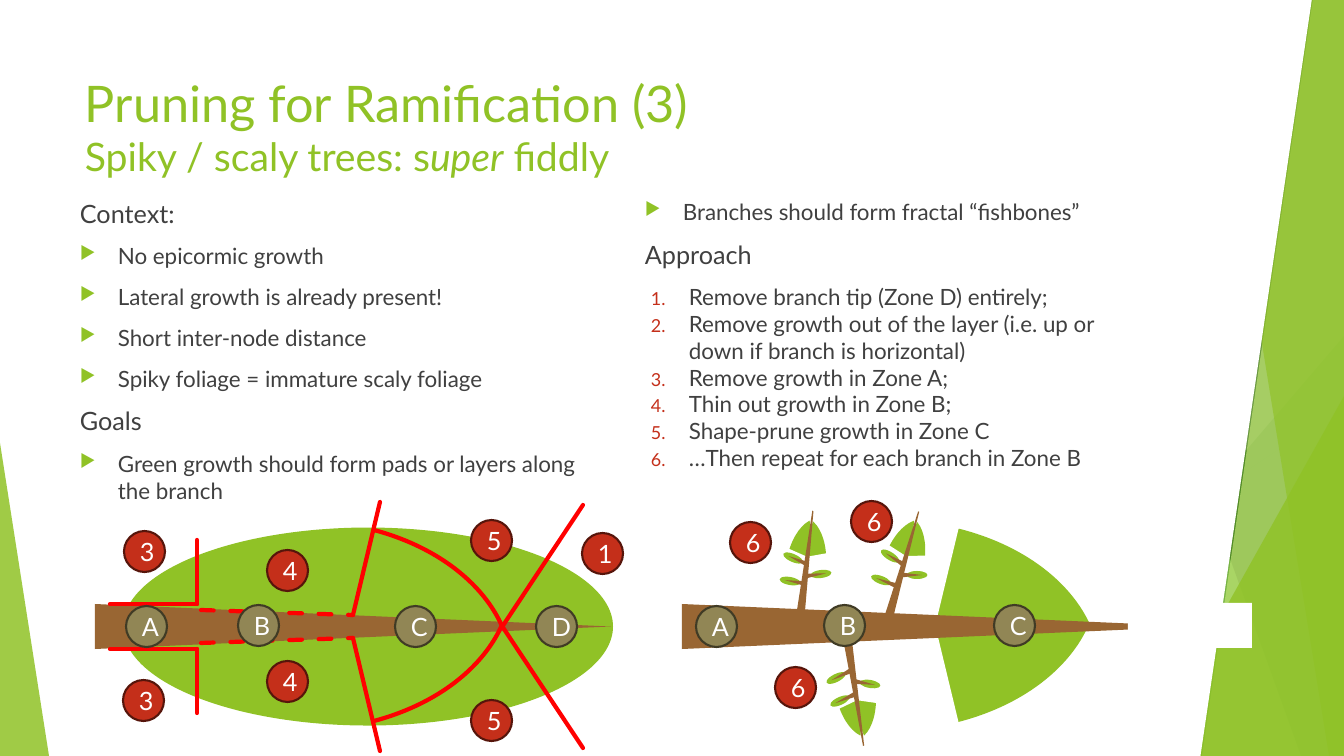
from math import cos, radians, sin

from lxml.etree import SubElement
from pptx import Presentation
from pptx.dml.color import RGBColor
from pptx.enum.dml import MSO_LINE
from pptx.enum.shapes import MSO_CONNECTOR, MSO_SHAPE
from pptx.enum.text import MSO_ANCHOR, PP_ALIGN
from pptx.oxml.ns import qn
from pptx.util import Pt

PX = 9071  # EMU in one px
OVAL, TRIANGLE, ARC = MSO_SHAPE.OVAL, MSO_SHAPE.ISOSCELES_TRIANGLE, MSO_SHAPE.ARC
PIE, WEDGE, BLOCK = MSO_SHAPE.PIE, MSO_SHAPE.RIGHT_TRIANGLE, MSO_SHAPE.RECTANGLE
PARALLELOGRAM = MSO_SHAPE.PARALLELOGRAM
STRAIGHT, DASH = MSO_CONNECTOR.STRAIGHT, MSO_LINE.DASH
TOP, MIDDLE, CENTER = MSO_ANCHOR.TOP, MSO_ANCHOR.MIDDLE, PP_ALIGN.CENTER
SWEEP = (178.53, 208.13)
LEAF_SWEEP = (169.5, 200.22)

THEME = {
    "font": "Lato", "title": 36, "subtitle": 28, "head": 18, "item": 16, "marker": 18,
    "green": "90C226", "deep": "54A021", "dark": "3F7819", "pale": "C0E474",
    "white": "FFFFFF", "text": "404040", "grey": "D9D9D9", "mid grey": "BFBFBF",
    "wood": "996633", "cut": "FF0000",
    "red": "C42F1A", "red edge": "56150B", "olive": "918655", "olive edge": "403B25",
}

deck = Presentation()
deck.slide_width, deck.slide_height = 1344 * PX, 756 * PX
page = deck.slides.add_slide(deck.slide_layouts[6])
shapes = page.shapes


def paint(shape, fill, edge=None, opacity=100):
    """Give a shape a flat fill, an optional 1.5 pt edge and no shadow."""
    shape.shadow.inherit = False
    shape.fill.solid()
    shape.fill.fore_color.rgb = RGBColor.from_string(THEME[fill])
    if opacity < 100:
        color = shape._element.spPr.find(".//" + qn("a:srgbClr"))
        SubElement(color, qn("a:alpha"), val=str(opacity * 1000))
    if edge:
        shape.line.color.rgb = RGBColor.from_string(THEME[edge])
        shape.line.width = Pt(1.5)
    else:
        shape.line.fill.background()


def place(form, middle, size, fill, turn=0, flip="", adjust=()):
    """Add a preset shape about its middle, turned clockwise, flipped by H and V."""
    left, top = [round((mid - length / 2) * PX) for mid, length in zip(middle, size)]
    shape = shapes.add_shape(form, left, top, *[round(length * PX) for length in size])
    shape.rotation = turn
    for axis in flip:
        shape._element.spPr.find(qn("a:xfrm")).set("flip" + axis, "1")
    for index, value in enumerate(adjust):
        shape.adjustments[index] = value
    paint(shape, fill)
    return shape


# Background facets
strokes = []
for ends, color in (((1033, 0, 1167, 756), "mid grey"), ((1344, 406, 818, 756), "grey")):
    ray = shapes.add_connector(STRAIGHT, *[v * PX for v in ends])
    strokes.append((ray, color, 0.75, None))

# quadrilaterals as top left, top right, bottom right, bottom left;
# triangles as left, top, width, height, apex position
FACETS = [
    ((1238, 1344, 1344, 1012), "green", 30),
    ((1058, 1344, 1344, 1192), "green", 20),
    ((985, 336, 359, 420, 1), "deep", 72),
    ((1029, 1344, 1344, 1301), "dark", 70),
    ((1313, 1344, 1344, 1202), "pale", 70),
    ((1206, 1344, 1344, 1329), "green", 65),
    ((1143, 396, 201, 360, 1), "green", 80),
    ((0, 443, 49, 313, 0), "green", 85),
]
for place_values, color, opacity in FACETS:
    if len(place_values) == 4:
        points = [(x * PX, y * PX) for x, y in zip(place_values, (-1, -1, 756, 756))]
        builder = shapes.build_freeform(*points[0])
        builder.add_line_segments(points[1:], close=True)
        facet = builder.convert_to_shape()
    else:
        facet = shapes.add_shape(TRIANGLE, *[v * PX for v in place_values[:4]])
        facet.adjustments[0] = place_values[4]
    paint(facet, color, opacity=opacity)
sheet = place(PARALLELOGRAM, (1032, 377), (558, 758), "white", adjust=(0.2,))
paint(sheet, "white", "white")

# Title and text columns
# size and colour, space before, left margin, bullet colour
STYLES = {
    "title": ("title", "green", 0, 0, None),
    "head": ("head", "text", 10, 0, None),
    "bullet": ("item", "text", 10, 38, "green"),
    "first step": ("item", "text", 10, 44, "red"),
    "step": ("item", "text", 0, 44, "red"),
}
TEXTS = [
    ((75, 67, 948, 145), [("title", "Pruning for Ramification (3)")]),
    ((70, 193, 520, 562), [
        ("head", "Context:"),
        ("bullet", "No epicormic growth"),
        ("bullet", "Lateral growth is already present!"),
        ("bullet", "Short inter-node distance"),
        ("bullet", "Spiky foliage = immature scaly foliage"),
        ("head", "Goals"),
        ("bullet", "Green growth should form pads or layers along the branch"),
    ]),
    ((635, 193, 520, 562), [
        ("bullet", "Branches should form fractal “fishbones”"),
        ("head", "Approach"),
        ("first step", "Remove branch tip (Zone D) entirely;"),
        ("step", "Remove growth out of the layer (i.e. up or down if branch is horizontal)"),
        ("step", "Remove growth in Zone A;"),
        ("step", "Thin out growth in Zone B;"),
        ("step", "Shape-prune growth in Zone C"),
        ("step", "…Then repeat for each branch in Zone B"),
    ]),
]
SUBTITLE = [("Spiky / scaly trees: s", False), ("uper", True), (" fiddly", False)]
for corner, lines in TEXTS:
    box = shapes.add_textbox(*[v * PX for v in corner])
    frame = box.text_frame
    frame.word_wrap, frame.vertical_anchor = True, TOP
    for number, (style, text) in enumerate(lines):
        size, color, before, margin, bullet = STYLES[style]
        para = frame.paragraphs[0] if number == 0 else frame.add_paragraph()
        para.space_before = Pt(before)
        spans = [(text, size, False)]
        if style == "title":
            spans += [(part, "subtitle", italic) for part, italic in SUBTITLE]
        for index, (part, part_size, italic) in enumerate(spans):
            if index == 1:
                para.add_line_break()
            span = para.add_run()
            span.text = part
            look = {"name": THEME["font"], "size": Pt(THEME[part_size]), "italic": italic}
            for key, value in look.items():
                setattr(span.font, key, value)
            span.font.color.rgb = RGBColor.from_string(THEME[color])
        if bullet:
            props = para._p.get_or_add_pPr()
            props.set("marL", str(margin * PX))
            props.set("indent", str(-38 * PX))
            SubElement(SubElement(props, qn("a:buClr")), qn("a:srgbClr"), val=THEME[bullet])
            SubElement(props, qn("a:buSzPct"), val="80000")
            if style == "bullet":
                SubElement(props, qn("a:buChar"), char="▶")
            else:
                SubElement(props, qn("a:buAutoNum"), type="arabicPeriod")

# Left branch with its cuts, mirrored about the branch axis
place(OVAL, (368, 626.5), (198, 490), "green", 90, "H")
place(TRIANGLE, (353, 626.5), (45, 516), "wood", 90, "H")
CUTS = [
    (110, 604, 197, 604, None),
    (197, 604, 197, 540, None),
    (502, 627, 583, 505, None),
    (353, 615, 380, 502, None),
    (201, 610, 353, 615, DASH),
]
for mirrored in (False, True):
    for x1, y1, x2, y2, dash in CUTS:
        if mirrored:
            y1, y2 = 1253 - y1, 1253 - y2
        cut = shapes.add_connector(STRAIGHT, x1 * PX, y1 * PX, x2 * PX, y2 * PX)
        strokes.append((cut, "cut", 3, dash))
    middle_y, flip = (579, "V") if mirrored else (672, "")
    arc = place(ARC, (300, middle_y), (424, 303), "white", flip=flip, adjust=SWEEP)
    arc.fill.background()
    strokes.append((arc, "cut", 3, None))
for stroke, color, width, dash in strokes:
    stroke.line.color.rgb = RGBColor.from_string(THEME[color])
    stroke.line.width = Pt(width)
    if dash:
        stroke.line.dash_style = dash
    if color == "cut":
        stroke.line._get_or_add_ln().set("cap", "rnd")
    if stroke._element.spPr.find(qn("a:effectLst")) is None:
        SubElement(stroke._element.spPr, qn("a:effectLst"))

# Right branch and its twigs: the same parts, pointing up before turning
# form, offset across and along, width, height, colour, reversed, adjustments
BRANCH_PARTS = [
    (PIE, 45, 0, 303, 425, "green", False, LEAF_SWEEP),
    (PIE, -47, 2, 303, 425, "green", True, LEAF_SWEEP),
    (WEDGE, -33, -55, 199, 48, "white", True, ()),
    (WEDGE, 31, -55, 199, 48, "white", False, ()),
    (BLOCK, -1, 3, 138, 97, "white", True, ()),
    (TRIANGLE, 0, -52, 45, 516, "wood", False, ()),
    (BLOCK, -1, -302, 45, 124, "white", True, ()),
]
# origin, direction, scale across, scale along
BRANCHES = [
    ((888, 626.5), 90, 1, 1),
    ((806, 568), 6.8, 0.19, 0.24),
    ((855, 689), 171.4, 0.19, 0.24),
    ((903, 567), 15.8, 0.19, 0.24),
]
for (x, y), angle, across, along in BRANCHES:
    c, s = cos(radians(angle)), sin(radians(angle))
    for form, dx, dy, width, height, color, backward, adjust in BRANCH_PARTS:
        dx, dy = dx * across, dy * along
        middle = (x + dx * c - dy * s, y + dx * s + dy * c)
        turn, flip = (angle + 180, "HV") if backward else (angle, "H")
        place(form, middle, (width * across, height * along), color, turn, flip, adjust)

# centre and direction
LEAFLETS = [
    (790, 581, 190.1), (821, 574, 352.7), (793, 558, 203.5),
    (870, 684, 9.6), (836, 678, 153.7), (840, 701, 155.7),
    (881, 580, 200.7), (917, 575, 0), (890, 556, 212.2),
]
for x, y, angle in LEAFLETS:
    vein = (x - 5.5 * cos(radians(angle)), y - 5.5 * sin(radians(angle)))
    place(OVAL, (x, y), (21, 8), "green", angle)
    place(TRIANGLE, vein, (5, 21), "wood", angle + 90, "H")

# Step and zone markers
MARKERS = {
    "red": [("6", 730, 522), ("6", 851, 501), ("6", 775, 667), ("3", 123, 680),
            ("3", 124, 531), ("1", 582, 533), ("4", 267, 550), ("4", 267, 661),
            ("5", 471, 520), ("5", 471, 700)],
    "olive": [("A", 126, 606), ("B", 238, 605), ("C", 395, 606), ("D", 536, 606),
              ("A", 696, 606), ("B", 824, 605), ("C", 994, 605)],
}
for color, markers in MARKERS.items():
    for label, x, y in markers:
        marker = shapes.add_shape(OVAL, x * PX, y * PX, 41 * PX, 41 * PX)
        paint(marker, color, color + " edge")
        marker.text_frame.vertical_anchor = MIDDLE
        para = marker.text_frame.paragraphs[0]
        para.alignment = CENTER
        span = para.add_run()
        span.text = label
        for key, value in {"name": THEME["font"], "size": Pt(THEME["marker"])}.items():
            setattr(span.font, key, value)
        span.font.color.rgb = RGBColor.from_string(THEME["white"])

deck.save("out.pptx")
